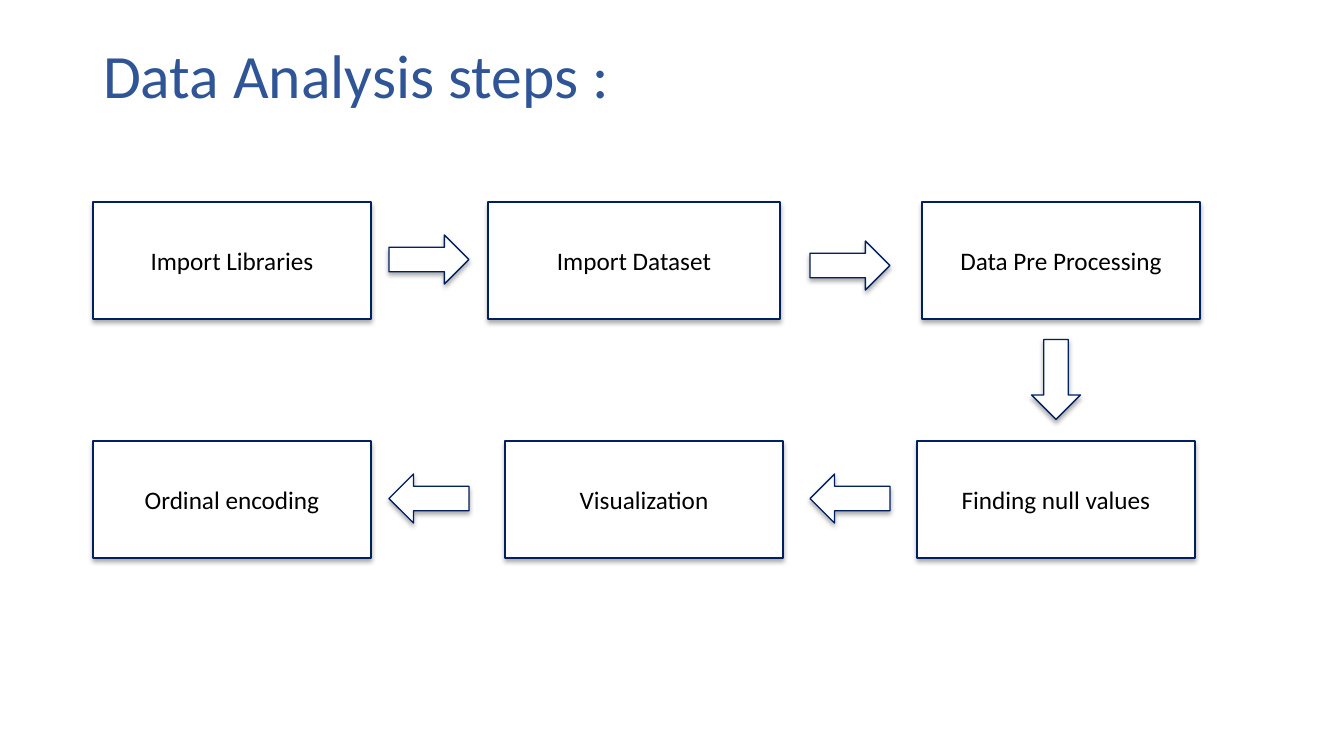
from dataclasses import dataclass

from lxml.etree import SubElement
from pptx import Presentation
from pptx.dml.color import RGBColor
from pptx.enum.shapes import MSO_SHAPE as Preset
from pptx.enum.text import MSO_ANCHOR as Anchor, PP_ALIGN as Align
from pptx.oxml.ns import qn
from pptx.util import Emu, Pt

EMU_PER_PIXEL = 914400 / 100.8


def px(pixels):
    return Emu(round(pixels * EMU_PER_PIXEL))


@dataclass(frozen=True)
class Theme:
    font: str = "Calibri"
    title_size: int = 44
    step_size: int = 18
    title_color: str = "2F5597"
    text_color: str = "000000"
    fill: str = "FFFFFF"
    outline: str = "002060"
    outline_width: int = 1
    shadow: str = "000000"


class SlideBuilder:
    def __init__(self, slide, theme):
        self.slide = slide
        self.theme = theme

    def set_text(self, frame, text, size, color, align, anchor):
        frame.word_wrap = True
        frame.vertical_anchor = anchor
        paragraph = frame.paragraphs[0]
        paragraph.alignment = align
        run = paragraph.add_run()
        run.text = text
        run.font.name = self.theme.font
        run.font.size = Pt(size)
        run.font.color.rgb = RGBColor.from_string(color)
        return paragraph

    def title(self, text, left, top, width, height):
        shape = self.slide.shapes.title
        shape.left, shape.top = px(left), px(top)
        shape.width, shape.height = px(width), px(height)
        paragraph = self.set_text(shape.text_frame, text, self.theme.title_size,
                                  self.theme.title_color, Align.LEFT, Anchor.TOP)
        paragraph.line_spacing = 0.9

    def outlined(self, preset, left, top, width, height):
        shape = self.slide.shapes.add_shape(
            preset, px(left), px(top), px(width), px(height))
        shape.fill.solid()
        shape.fill.fore_color.rgb = RGBColor.from_string(self.theme.fill)
        shape.line.color.rgb = RGBColor.from_string(self.theme.outline)
        shape.line.width = Pt(self.theme.outline_width)
        self.soft_shadow(shape)
        return shape

    def soft_shadow(self, shape):
        shape.shadow.inherit = False
        effects = shape._element.spPr.find(qn("a:effectLst"))
        shadow = SubElement(effects, qn("a:outerShdw"), blurRad=str(Pt(3.5)),
                            dist=str(Pt(2.2)), dir="5400000", rotWithShape="0")
        color = SubElement(shadow, qn("a:srgbClr"), val=self.theme.shadow)
        SubElement(color, qn("a:alpha"), val="32000")

    def step(self, text, left, top, width, height):
        shape = self.outlined(Preset.RECTANGLE, left, top, width, height)
        self.set_text(shape.text_frame, text, self.theme.step_size,
                      self.theme.text_color, Align.CENTER, Anchor.MIDDLE)

    def arrow(self, left, top, rotation):
        shape = self.outlined(Preset.RIGHT_ARROW, left, top, 80, 49)
        shape.rotation = rotation


presentation = Presentation()
presentation.slide_width, presentation.slide_height = px(1344), px(756)
title_only = presentation.slide_layouts[5]
builder = SlideBuilder(presentation.slides.add_slide(title_only), Theme())

# Title
builder.title("Data Analysis steps :", 93, 40, 1159, 146)

# Steps: two rows of boxes, each as text, left, width
STEP_HEIGHT = 117
STEP_ROWS = {
    202: [("Import Libraries", 93, 278),
          ("Import Dataset", 488, 292),
          ("Data Pre Processing", 922, 278)],
    441: [("Ordinal encoding", 93, 278),
          ("Visualization", 505, 278),
          ("Finding null values", 917, 278)],
}
for top, steps in STEP_ROWS.items():
    for text, left, width in steps:
        builder.step(text, left, top, width, STEP_HEIGHT)

# Arrows in reading order of the flow: left, top, rotation
ARROWS = [(389, 235, 0), (810, 241, 0), (1016, 355, 90),
          (810, 474, 180), (389, 474, 180)]
for left, top, rotation in ARROWS:
    builder.arrow(left, top, rotation)

presentation.save("out.pptx")
